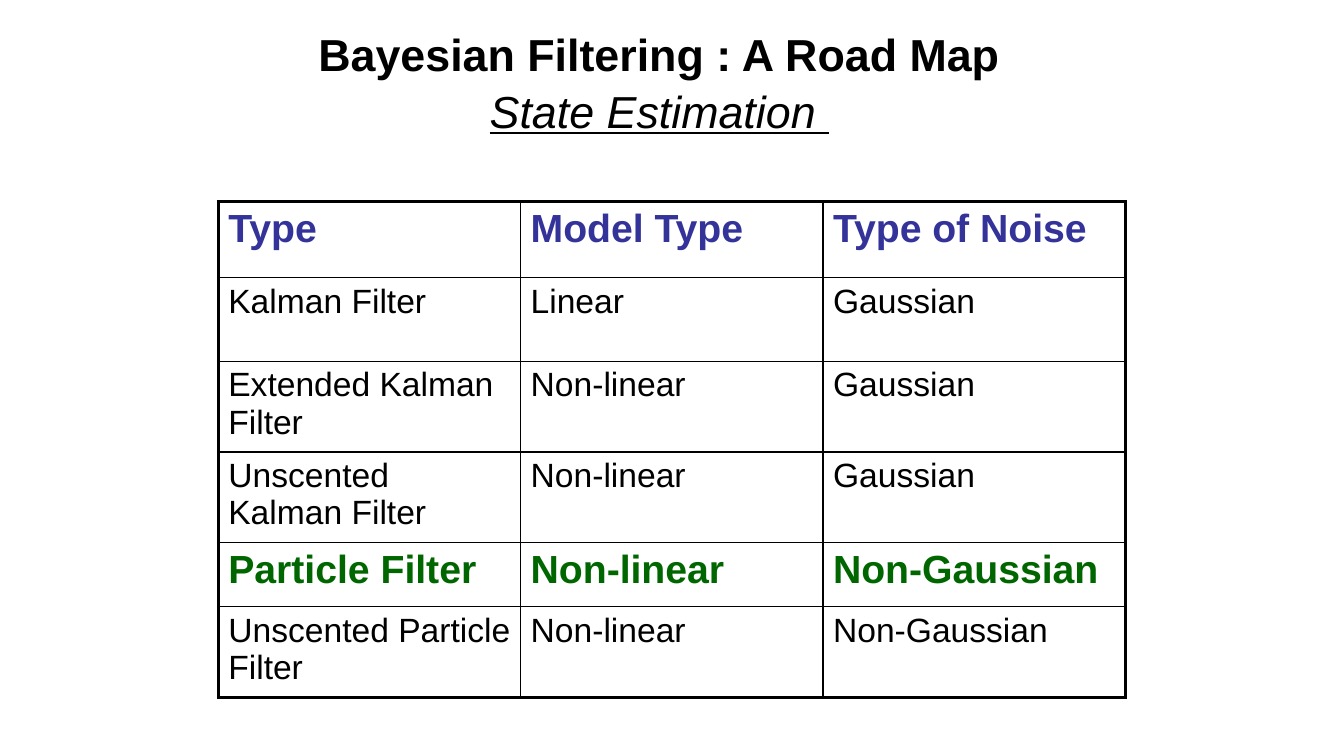
from lxml.etree import SubElement
from pptx import Presentation
from pptx.dml.color import RGBColor
from pptx.enum.text import MSO_ANCHOR, PP_ALIGN
from pptx.oxml.ns import qn
from pptx.util import Cm, Pt

HEADINGS = ("Type", "Model Type", "Type of Noise")
FILTERS = (
    ("Kalman Filter", "Linear", "Gaussian"),
    ("Extended Kalman Filter", "Non-linear", "Gaussian"),
    ("Unscented Kalman Filter", "Non-linear", "Gaussian"),
    ("Particle Filter", "Non-linear", "Non-Gaussian"),
    ("Unscented Particle Filter", "Non-linear", "Non-Gaussian"),
)
ROW_HEIGHTS = (1.92, 2.1, 2.29, 2.29, 1.61, 2.29)
COLUMN_WIDTH = 7.62


def color(value):
    return RGBColor.from_string(value)


class RoadMapSlide:
    """Holds the slide and the style of its title and table."""

    font_name = "Arial"
    black, heading_blue, highlight_green = "000000", "333399", "006600"
    outer_line, inner_line = 2.25, 1

    def __init__(self, presentation):
        self.slide = presentation.slides.add_slide(presentation.slide_layouts[6])

    def style(self, paragraph, size, ink, bold=False):
        font = paragraph.font
        font.name, font.size, font.bold = self.font_name, Pt(size), bold
        font.color.rgb = color(ink)

    def title(self, heading, subject, left, top, width, height):
        frame = self.slide.shapes.add_textbox(
            Cm(left), Cm(top), Cm(width), Cm(height)).text_frame
        frame.word_wrap = True
        frame.vertical_anchor = MSO_ANCHOR.MIDDLE
        frame.margin_top = Cm(0.46)
        heading_line, subject_line = frame.paragraphs[0], frame.add_paragraph()
        for line, words in ((heading_line, heading), (subject_line, subject)):
            line.text = words
            line.alignment = PP_ALIGN.CENTER
            self.style(line, 32, self.black, bold=line is heading_line)
        subject_line.space_before = Pt(2)
        subject_line.font.italic = True
        subject_line.font.underline = True

    def border(self, cell, side, width):
        line = SubElement(cell._tc.get_or_add_tcPr(), qn(f"a:ln{side}"),
                          w=str(Pt(width)))
        ink = SubElement(SubElement(line, qn("a:solidFill")), qn("a:srgbClr"))
        ink.set("val", self.black)

    def row_style(self, kind):
        if kind == HEADINGS[0]:
            return 28, self.heading_blue, True
        if kind == "Particle Filter":
            return 28, self.highlight_green, True
        return 24, self.black, False

    def table(self, records, left, top):
        row_count, column_count = len(records), len(records[0])
        grid = self.slide.shapes.add_table(
            row_count, column_count, Cm(left), Cm(top),
            Cm(COLUMN_WIDTH * column_count), Cm(sum(ROW_HEIGHTS))).table
        grid.first_row = grid.horz_banding = False
        for column in grid.columns:
            column.width = Cm(COLUMN_WIDTH)
        for r, record in enumerate(records):
            grid.rows[r].height = Cm(ROW_HEIGHTS[r])
            for c, words in enumerate(record):
                cell = grid.cell(r, c)
                cell.text = words
                self.style(cell.text_frame.paragraphs[0], *self.row_style(record[0]))
                edges = {"L": c == 0, "R": c == column_count - 1,
                         "T": r == 0, "B": r == row_count - 1}
                for side, is_outer in edges.items():
                    self.border(cell, side,
                                self.outer_line if is_outer else self.inner_line)
                cell.fill.background()


def main():
    presentation = Presentation()
    presentation.slide_width, presentation.slide_height = Cm(33.87), Cm(19.05)
    road_map = RoadMapSlide(presentation)
    road_map.title("Bayesian Filtering : A Road Map", "State Estimation ",
                   5.29, 0.42, 22.65, 2.96)
    road_map.table((HEADINGS,) + FILTERS, 5.5, 5.08)
    presentation.save("out.pptx")


if __name__ == "__main__":
    main()
